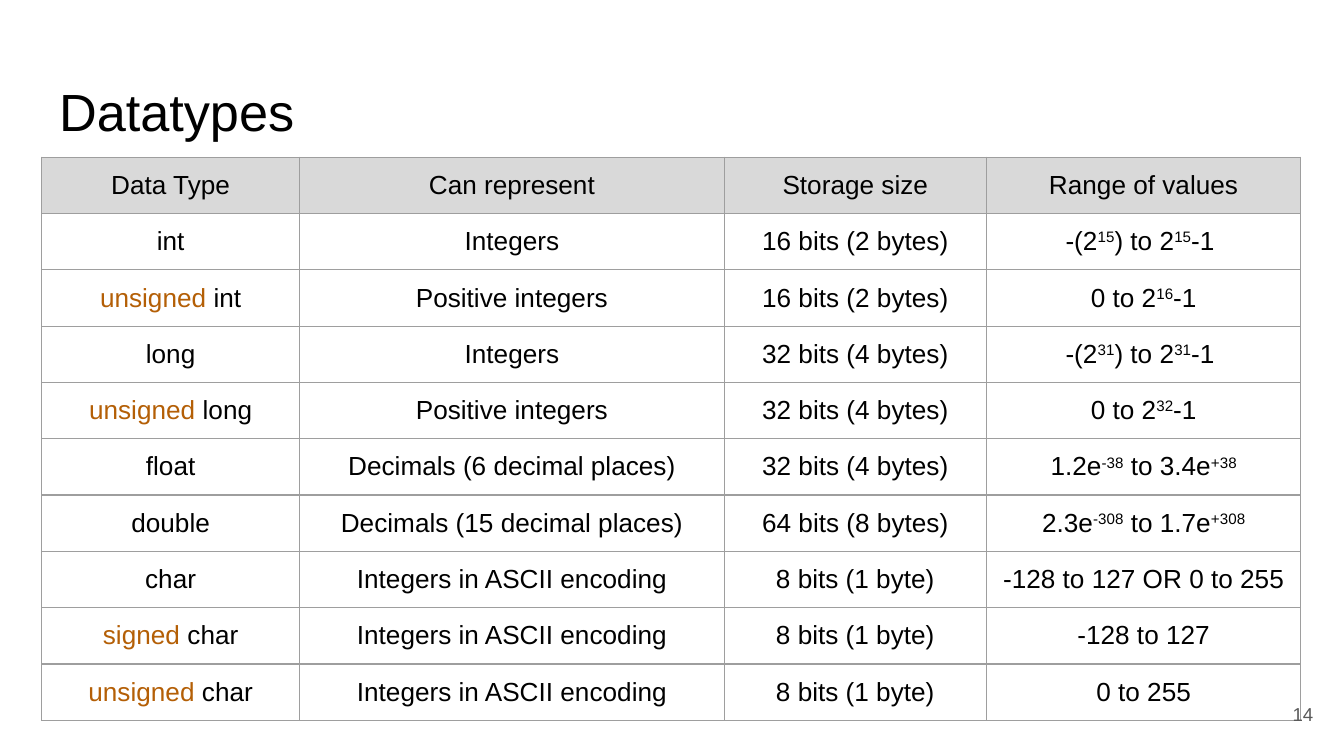
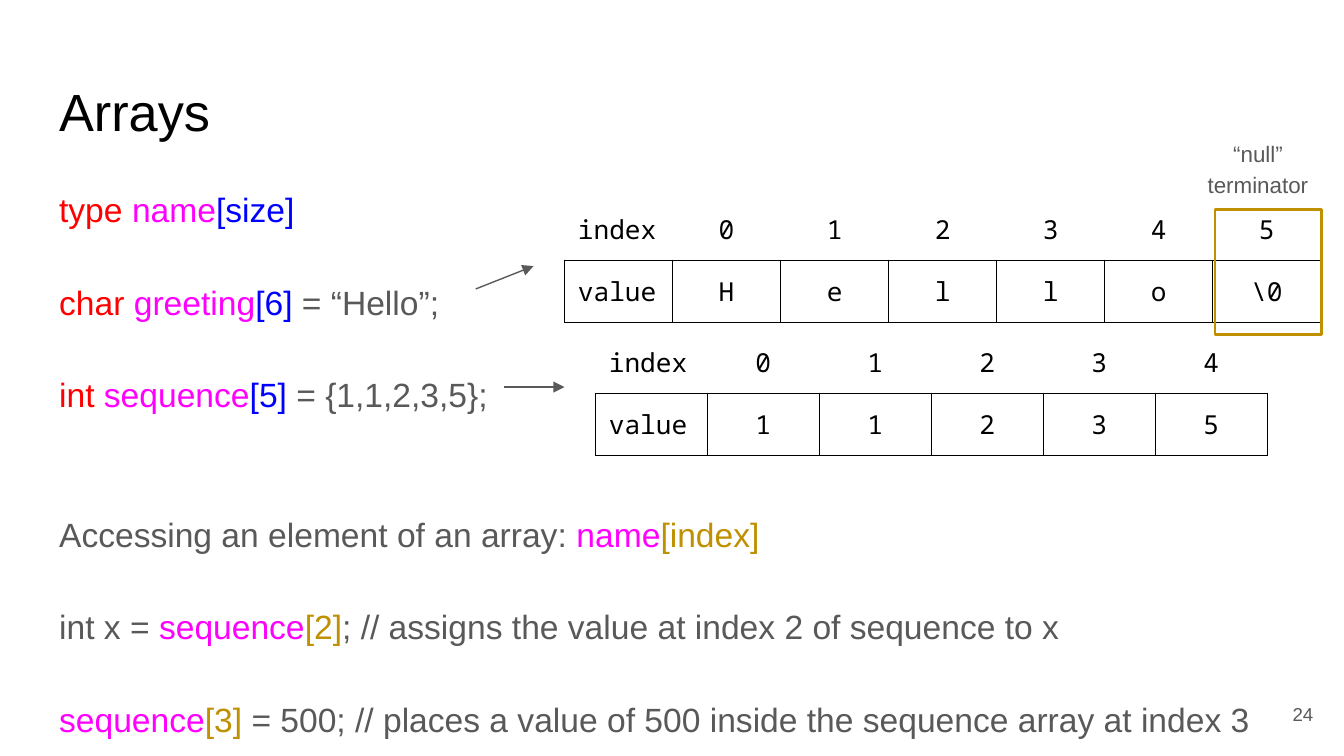
from lxml import etree
from pptx import Presentation
from pptx.dml.color import RGBColor
from pptx.enum.shapes import MSO_CONNECTOR, MSO_SHAPE
from pptx.enum.text import MSO_ANCHOR, MSO_AUTO_SIZE, PP_ALIGN
from pptx.oxml.ns import qn
from pptx.util import Emu, Pt

SANS, MONO = "Arial", "Noto Sans Mono"
BLACK, TEXT, WHITE = "000000", "595959", "FFFFFF"
GRID, HEADER, KEYWORD = "9E9E9E", "D9D9D9", "B45F06"
TYPE, NAME, SIZE, INDEX = "FF0000", "FF00FF", "0000FF", "BF9000"

TITLE_ONLY, TWO_CONTENT = 5, 3
TITLE_BOX = (34, 49, 932, 63)
NUMBER_BOX = (927, 510, 60, 43)
INSET = 10
NO_STYLE = "{2D5ABB26-0587-4C30-8999-92F81FD0307C}"

DATATYPES = [  # ^ marks the start and end of a superscript
    ("Data Type", "Can represent", "Storage size", "Range of values"),
    ("int", "Integers", "16 bits (2 bytes)", "-(2^15^) to 2^15^-1 "),
    ("unsigned int", "Positive integers", "16 bits (2 bytes)", "0 to 2^16^-1"),
    ("long", "Integers", "32 bits (4 bytes)", "-(2^31^) to 2^31^-1 "),
    ("unsigned long", "Positive integers", "32 bits (4 bytes)", "0 to 2^32^-1"),
    ("float", "Decimals (6 decimal places)", "32 bits (4 bytes)",
     "1.2e^-38^ to 3.4e^+38^"),
    ("double", "Decimals (15 decimal places)", "64 bits (8 bytes)",
     "2.3e^-308^ to 1.7e^+308^"),
    ("char", "Integers in ASCII encoding", "8 bits (1 byte)",
     "-128 to 127 OR 0 to 255"),
    ("signed char", "Integers in ASCII encoding", "8 bits (1 byte)", "-128 to 127"),
    ("unsigned char", "Integers in ASCII encoding", "8 bits (1 byte)", "0 to 255"),
]

# Each paragraph: blank lines' worth of space above it, then its runs.
ARRAY_NOTES = [
    (0, [("type ", TYPE), ("name", NAME), ("[size]", SIZE)]),
    (1, [("char ", TYPE), ("greeting", NAME), ("[6]", SIZE), (" = “Hello”;", TEXT)]),
    (1, [("int ", TYPE), ("sequence", NAME), ("[5]", SIZE),
         (" = {1,1,2,3,5};", TEXT)]),
    (2, [("Accessing an element of an array: ", TEXT), ("name", NAME),
         ("[index]", INDEX)]),
    (1, [("int x = ", TEXT), ("sequence", NAME), ("[2]", INDEX),
         ("; // assigns the value at index 2 of sequence to x", TEXT)]),
    (1, [("sequence", NAME), ("[3]", INDEX),
         (" = 500; // places a value of 500 inside the sequence array at index 3",
          TEXT)]),
]


def px(n):
    """100 px to the inch."""
    return Emu(n * 9144)


def rgb(color):
    return RGBColor.from_string(color)


def place(sp, box):
    sp.left, sp.top, sp.width, sp.height = map(px, box)


def set_frame(tf, anchor=MSO_ANCHOR.TOP):
    tf.word_wrap = True
    tf.auto_size = MSO_AUTO_SIZE.NONE
    tf.vertical_anchor = anchor
    tf.margin_left = tf.margin_right = tf.margin_top = tf.margin_bottom = px(INSET)


def add_run(p, text, size, color, font=SANS):
    r = p.add_run()
    r.text = text
    r.font.size = Pt(size)
    r.font.name = font
    r.font.color.rgb = rgb(color)
    return r


def add_title(s, text):
    sp = s.shapes.title
    place(sp, TITLE_BOX)
    set_frame(sp.text_frame)
    p = sp.text_frame.paragraphs[0]
    p.alignment = PP_ALIGN.LEFT
    add_run(p, text, 28, BLACK)


def add_number(s, number):
    sp = s.shapes.add_textbox(*map(px, NUMBER_BOX))
    set_frame(sp.text_frame, MSO_ANCHOR.MIDDLE)
    p = sp.text_frame.paragraphs[0]
    p.alignment = PP_ALIGN.RIGHT
    add_run(p, str(number), 10, TEXT)


def fill_body(sp, box, paragraphs, size, align=PP_ALIGN.LEFT):
    """Fill a body placeholder with unbulleted paragraphs."""
    place(sp, box)
    tf = sp.text_frame
    set_frame(tf)
    for i, (gap, runs) in enumerate(paragraphs):
        p = tf.add_paragraph() if i else tf.paragraphs[0]
        p.alignment = align
        p.line_spacing = 1.15
        p.space_before = Pt(24.85 * gap)
        p.space_after = Pt(0)
        pPr = p._p.get_or_add_pPr()
        pPr.set("marL", "0")
        pPr.set("indent", "0")
        etree.SubElement(pPr, qn("a:buNone"))
        for text, color in runs:
            add_run(p, text, size, color)


def add_plain_table(s, box, rows, cols):
    gf = s.shapes.add_table(rows, cols, *map(px, box))
    table = gf.table
    table.first_row = table.horz_banding = False
    table._tbl.tblPr.find(qn("a:tableStyleId")).text = NO_STYLE
    return table


def format_cell(cell, edges, line, fill=None):
    """Draw the named edges (from L, R, T, B), then the fill and margins."""
    tcPr = cell._tc.get_or_add_tcPr()
    for edge in "LRTB":
        ln = etree.SubElement(tcPr, qn(f"a:ln{edge}"), w=str(Pt(0.75)))
        if edge in edges:
            solid = etree.SubElement(ln, qn("a:solidFill"))
            etree.SubElement(solid, qn("a:srgbClr"), val=line)
        else:
            etree.SubElement(ln, qn("a:noFill"))
    if fill:
        cell.fill.solid()
        cell.fill.fore_color.rgb = rgb(fill)
    else:
        cell.fill.background()
    cell.margin_left = cell.margin_right = px(INSET)
    cell.margin_top = cell.margin_bottom = px(INSET)


def add_marked_text(p, text):
    """Colour a leading signed/unsigned and raise what stands between ^ marks."""
    first, space, rest = text.partition(" ")
    if first.endswith("signed"):
        add_run(p, first, 14, KEYWORD)
        text = space + rest
    for i, part in enumerate(text.split("^")):
        if part:
            r = add_run(p, part, 14, BLACK)
            if i % 2:
                r._r.get_or_add_rPr().set("baseline", "30000")


def add_datatype_table(s, box, widths):
    table = add_plain_table(s, box, len(DATATYPES), len(widths))
    for column, width in zip(table.columns, widths):
        column.width = px(width)
    for i, texts in enumerate(DATATYPES):
        for j, text in enumerate(texts):
            cell = table.cell(i, j)
            format_cell(cell, "LRTB", GRID, None if i else HEADER)
            p = cell.text_frame.paragraphs[0]
            p.alignment = PP_ALIGN.CENTER
            add_marked_text(p, text)


def add_array_table(s, box, values):
    """An index row above a boxed row of values."""
    rows = (["index", *map(str, range(len(values)))], ["value", *values])
    table = add_plain_table(s, box, len(rows), len(rows[0]))
    for i, texts in enumerate(rows):
        for j, text in enumerate(texts):
            cell = table.cell(i, j)
            format_cell(cell, "LRTB" if i else "B", BLACK)
            p = cell.text_frame.paragraphs[0]
            p.alignment = PP_ALIGN.CENTER if j else PP_ALIGN.LEFT
            add_run(p, text, 14, BLACK, MONO)


def add_arrow(s, *ends):
    cxn = s.shapes.add_connector(MSO_CONNECTOR.STRAIGHT, *map(px, ends))
    cxn.line.color.rgb = rgb(TEXT)
    cxn.line.width = Pt(0.75)
    spPr = cxn._element.spPr
    etree.SubElement(spPr.find(qn("a:ln")), qn("a:tailEnd"), type="triangle")
    etree.SubElement(spPr, qn("a:effectLst"))


def add_highlight(s, box):
    sp = s.shapes.add_shape(MSO_SHAPE.RECTANGLE, *map(px, box))
    sp.shadow.inherit = False
    sp.fill.background()
    sp.line.color.rgb = rgb(INDEX)
    sp.line.width = Pt(1.5)


def add_slide(prs, layout, title):
    s = prs.slides.add_slide(prs.slide_layouts[layout])
    s.background.fill.solid()
    s.background.fill.fore_color.rgb = rgb(WHITE)
    add_title(s, title)
    return s


def datatypes_slide(prs):
    s = add_slide(prs, TITLE_ONLY, "Datatypes")
    add_datatype_table(s, (31, 117, 937, 417), (192, 316, 195, 234))
    add_number(s, 14)


def arrays_slide(prs):
    s = add_slide(prs, TWO_CONTENT, "Arrays")
    notes, label = list(s.placeholders)[1:3]
    fill_body(notes, (34, 126, 949, 430), ARRAY_NOTES, 18)
    fill_body(label, (879, 91, 114, 50), [(0, [("“null” terminator", TEXT)])],
              12, PP_ALIGN.CENTER)
    add_array_table(s, (420, 147, 563, 93), ["H", "e", "l", "l", "o", "\\0"])
    add_array_table(s, (443, 246, 500, 93), ["1", "1", "2", "3", "5"])
    add_arrow(s, 354, 215, 397, 198)
    add_arrow(s, 375, 288, 420, 288)
    add_number(s, 24)
    add_highlight(s, (904, 156, 79, 93))


def main():
    prs = Presentation()
    prs.slide_width = px(1000)
    prs.slide_height = Emu(prs.slide_width * 9 // 16)
    datatypes_slide(prs)
    arrays_slide(prs)
    prs.save("out.pptx")


if __name__ == "__main__":
    main()
